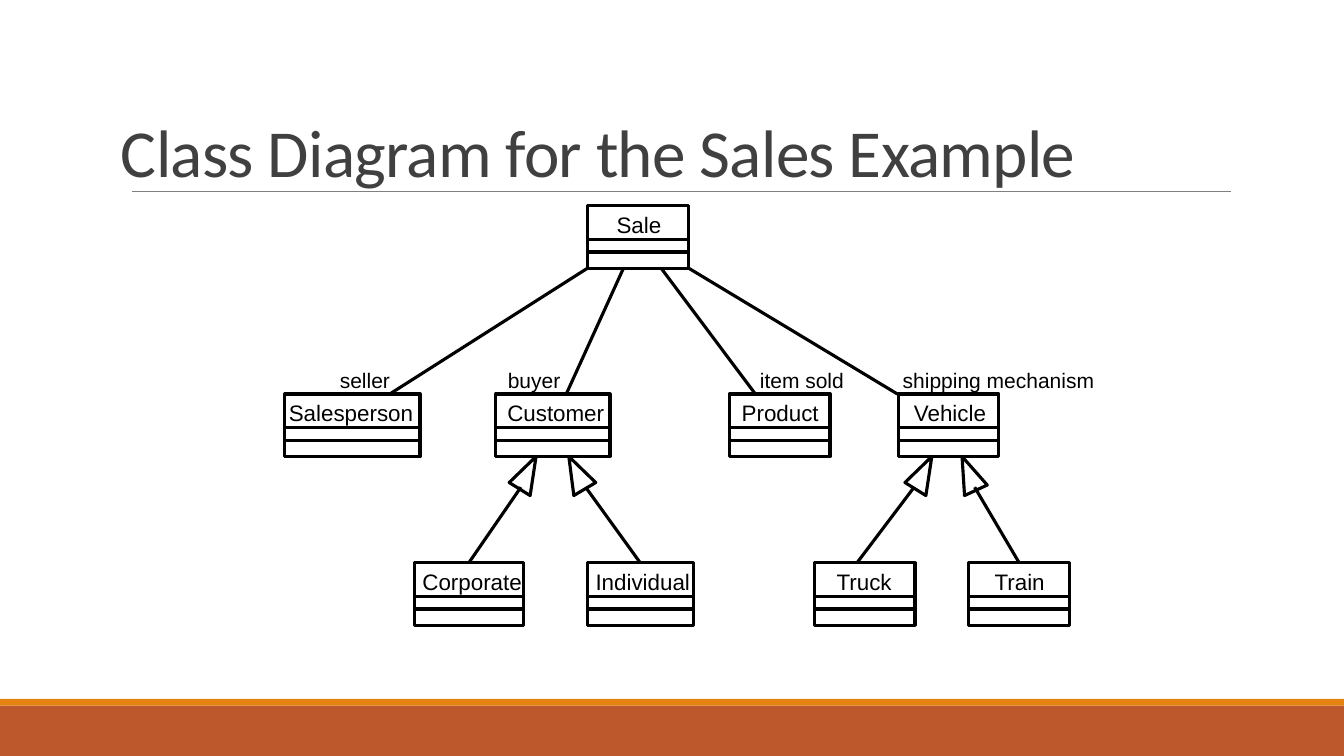
from pptx import Presentation, util as u
from pptx.dml.color import RGBColor
from pptx.enum import shapes as s, text as t
from pptx.oxml.ns import qn
from lxml import etree

deck = Presentation()
deck.slide_width, deck.slide_height = u.Inches(13.33), u.Inches(7.5)
slide = deck.slides.add_slide(deck.slide_layouts[6])
draw = slide.shapes
CELL = deck.slide_height / 90


def grid(*cells):
    return [round(cell * CELL) for cell in cells]


def paint(part, color, width=2.25):
    line = part.line
    line.color.rgb = RGBColor.from_string(color)
    line.width = u.Pt(width)
    props = part._element.spPr
    if props.find(qn("a:effectLst")) is None:
        etree.SubElement(props, qn("a:effectLst"))


for top, high, color in [(84, 6, "BD582C"), (83.2, 0.8, "E48312")]:
    band = draw.add_shape(s.MSO_SHAPE.RECTANGLE, 0, *grid(top), deck.slide_width, *grid(high))
    band.shadow.inherit = False
    band.fill.solid()
    band.fill.fore_color.rgb = RGBColor.from_string(color)
    band.line.fill.background()

rule = draw.add_connector(s.MSO_CONNECTOR.STRAIGHT, *grid(15.75, 22.8, 146.5, 22.8))
paint(rule, "808080", 0.5)

ROWS = [24.5, 46.9, 67]
HIGH = 7.45
nodes = [
    ("Sale", 0, 69.9, 12, 72.2, 7.8),
    ("Salesperson", 1, 33.9, 16.1, 33.2, 17.2),
    ("Customer", 1, 59, 13.6, 59.2, 14.2),
    ("Product", 1, 86.8, 12, 87.1, 11.8),
    ("Vehicle", 1, 106.9, 12, 107.6, 11.2),
    ("Corporate", 2, 49.3, 13, 49.1, 14.4),
    ("Individual", 2, 69.9, 12.6, 69.7, 13.8),
    ("Truck", 2, 96.9, 12, 98.4, 9.1),
    ("Train", 2, 115.3, 12, 117.2, 8.5),
]
notes = [("Class Diagram for the Sales Example", 14.4, 3.7, 132, 19.1, 48, 0, 0, True)]
boxes = {}
for name, row, left, wide, start, span in nodes:
    top = ROWS[row]
    box = draw.add_shape(s.MSO_SHAPE.RECTANGLE, *grid(left, top, wide, HIGH))
    box.shadow.inherit = False
    box.fill.background()
    paint(box, "000000")
    boxes[name] = box
    for drop in (4, 5.5):
        split = draw.add_connector(
            s.MSO_CONNECTOR.STRAIGHT, *grid(left, top + drop, left + wide, top + drop))
        paint(split, "000000")
    notes.append((name, start, top, span, 4.4, 16, 0.1, 0.05, False))

for role, left, wide in [("seller", 39, 16), ("buyer", 59, 16),
                         ("item sold", 89, 16), ("shipping mechanism", 106, 28)]:
    notes.append((role, left, 43, wide, 4.4, 15, 0.12, 0.06, True))

for start, end in [(69.9, 46.4), (74.2, 67.4), (78.7, 89.9), (82, 106.8)]:
    link = draw.add_connector(
        s.MSO_CONNECTOR.STRAIGHT, *grid(start, ROWS[0] + HIGH, end, ROWS[1]))
    paint(link, "000000")

TIP = ROWS[1] + HIGH
heads = [
    ("Corporate", 63.8, -3.2, 3.1, -0.7, 62, 56),
    ("Individual", 67.7, 3.2, 3.1, 0.6, 69.7, 76),
    ("Truck", 110.9, -3.2, 3.1, -0.7, 108.8, 102),
    ("Train", 114.5, 3, 3.4, 0.3, 116, 121),
]
for name, tip, far, drop, near, start, end in heads:
    path = draw.build_freeform(*grid(tip, TIP))
    path.add_line_segments([grid(tip + far, TIP + drop), grid(tip + near, TIP + 4.65)])
    head = path.convert_to_shape()
    head.shadow.inherit = False
    head.fill.background()
    paint(head, "000000")
    stem = draw.add_connector(s.MSO_CONNECTOR.STRAIGHT, *grid(start, 58, end, ROWS[2]))
    if name != "Truck":
        stem.end_connect(boxes[name], 0)
    paint(stem, "000000")

for words, left, top, wide, high, size, side, edge, wrap in notes:
    note = draw.add_textbox(*grid(left, top, wide, high))
    frame = note.text_frame
    frame.word_wrap = wrap
    frame.margin_left = frame.margin_right = u.Inches(side)
    frame.margin_top = frame.margin_bottom = u.Inches(edge)
    para = frame.paragraphs[0]
    para.text = words
    font = para.font
    font.size = u.Pt(size)
    font.name = "Arial"
    font.color.rgb = RGBColor.from_string("000000")
    if size == 48:
        frame.vertical_anchor = t.MSO_ANCHOR.BOTTOM
        para.line_spacing = 0.85
        font.name = "Calibri"
        font.color.rgb = RGBColor.from_string("404040")
        para.runs[0].font._element.set("spc", "-50")

deck.save("out.pptx")
